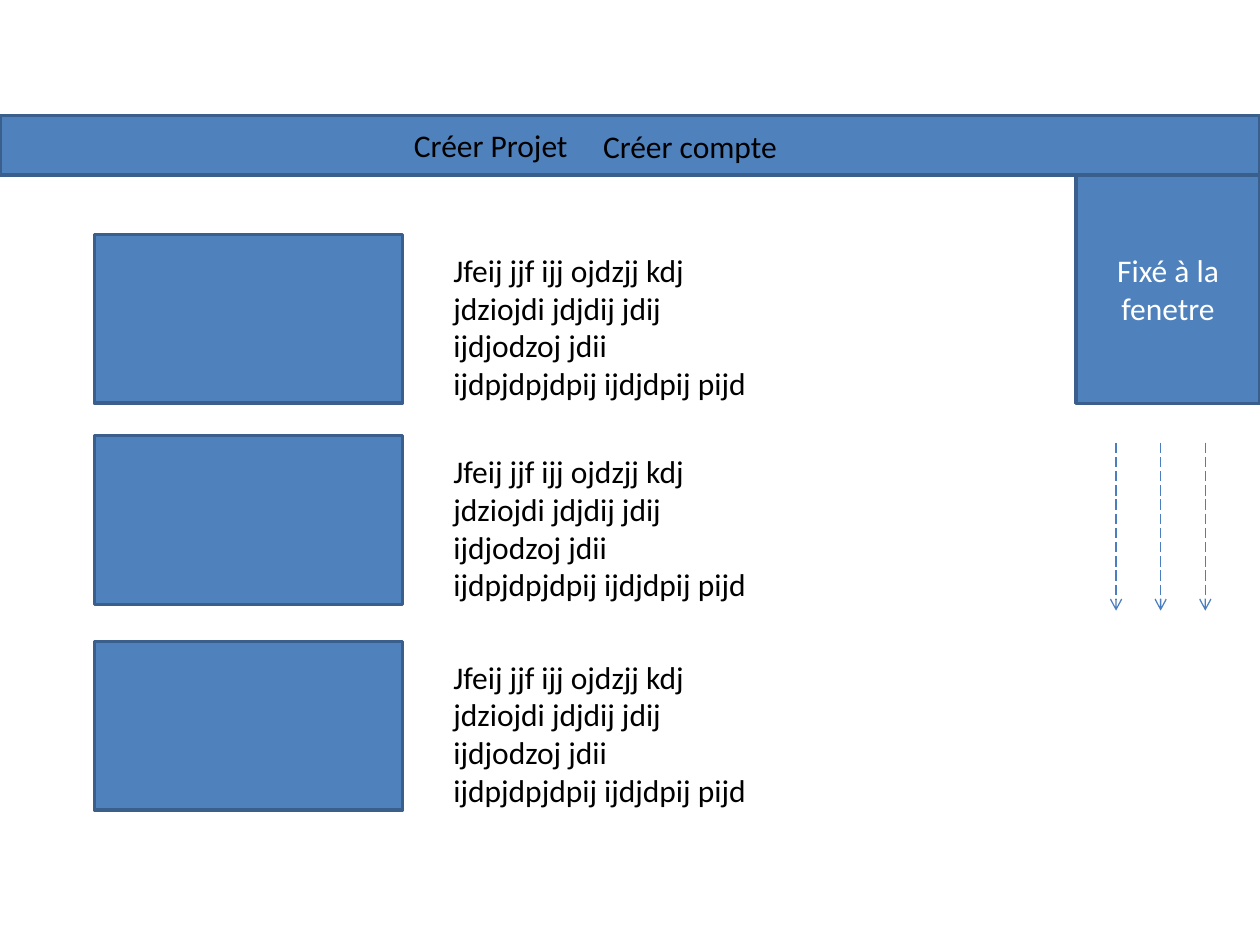
from dataclasses import dataclass

from lxml import etree
from pptx import Presentation
from pptx.dml.color import RGBColor
from pptx.enum.dml import MSO_LINE
from pptx.enum.shapes import MSO_CONNECTOR, MSO_SHAPE
from pptx.enum.text import MSO_ANCHOR, MSO_AUTO_SIZE, PP_ALIGN
from pptx.oxml.ns import qn
from pptx.util import Pt

COLORS = {"fill": "4F81BD", "border": "3A5F8C", "arrow": "4B7EBC", "dark": "000000", "light": "FFFFFF"}
FONT = "Calibri"
DUMMY_TEXT = "Jfeij jjf ijj ojdzjj kdj jdziojdi jdjdij jdij ijdjodzoj jdii ijdpjdpjdpij ijdjdpij pijd"


@dataclass(frozen=True)
class Box:
    left: float
    top: float
    width: float
    height: float

    def lengths(self) -> tuple:
        return Pt(self.left), Pt(self.top), Pt(self.width), Pt(self.height)


@dataclass(frozen=True)
class Label:
    text: str
    box: Box
    wrap: bool = False


def color(name: str) -> RGBColor:
    return RGBColor.from_string(COLORS[name])


def write(frame, text: str, color_name: str) -> None:
    run = frame.paragraphs[0].add_run()
    run.text = text
    run.font.name = FONT
    run.font.size = Pt(18)
    run.font.color.rgb = color(color_name)


def add_block(slide, box: Box, text: str = "") -> None:
    block = slide.shapes.add_shape(MSO_SHAPE.RECTANGLE, *box.lengths())
    block.shadow.inherit = False
    block.fill.solid()
    block.fill.fore_color.rgb = color("fill")
    block.line.color.rgb = color("border")
    block.line.width = Pt(2)
    if text:
        frame = block.text_frame
        frame.word_wrap = True
        frame.vertical_anchor = MSO_ANCHOR.MIDDLE
        frame.paragraphs[0].alignment = PP_ALIGN.CENTER
        write(frame, text, "light")


def add_label(slide, label: Label) -> None:
    frame = slide.shapes.add_textbox(*label.box.lengths()).text_frame
    frame.word_wrap = label.wrap
    frame.auto_size = MSO_AUTO_SIZE.SHAPE_TO_FIT_TEXT
    write(frame, label.text, "dark")


def add_scroll_arrow(slide, x: float, top: float, bottom: float) -> None:
    arrow = slide.shapes.add_connector(MSO_CONNECTOR.STRAIGHT, Pt(x), Pt(top), Pt(x), Pt(bottom))
    arrow.line.color.rgb = color("arrow")
    arrow.line.width = Pt(0.75)
    arrow.line.dash_style = MSO_LINE.LONG_DASH
    properties = arrow.line._get_or_add_ln()
    etree.SubElement(properties, qn("a:tailEnd"), type="arrow")
    etree.SubElement(arrow._element.spPr, qn("a:effectLst"))


presentation = Presentation()
presentation.slide_width = Pt(720)
presentation.slide_height = Pt(540)
slide = presentation.slides.add_slide(presentation.slide_layouts[6])

add_block(slide, Box(0, 66, 720, 34))

for row_top in (134, 249, 366.5):
    add_block(slide, Box(54, row_top, 176, 96.5))
    add_label(slide, Label(DUMMY_TEXT, Box(252, row_top + 5.75, 187, 94.5), wrap=True))

add_block(slide, Box(615, 100, 105, 130.5), "Fixé à la fenetre")

for index in range(3):
    add_scroll_arrow(slide, 637.75 + 25.5 * index, 253, 349)

MENU = (
    Label("Créer Projet", Box(229.5, 68.25, 103, 29)),
    Label("Créer compte", Box(337.5, 69.25, 115, 29)),
)
for entry in MENU:
    add_label(slide, entry)

presentation.save("out.pptx")
